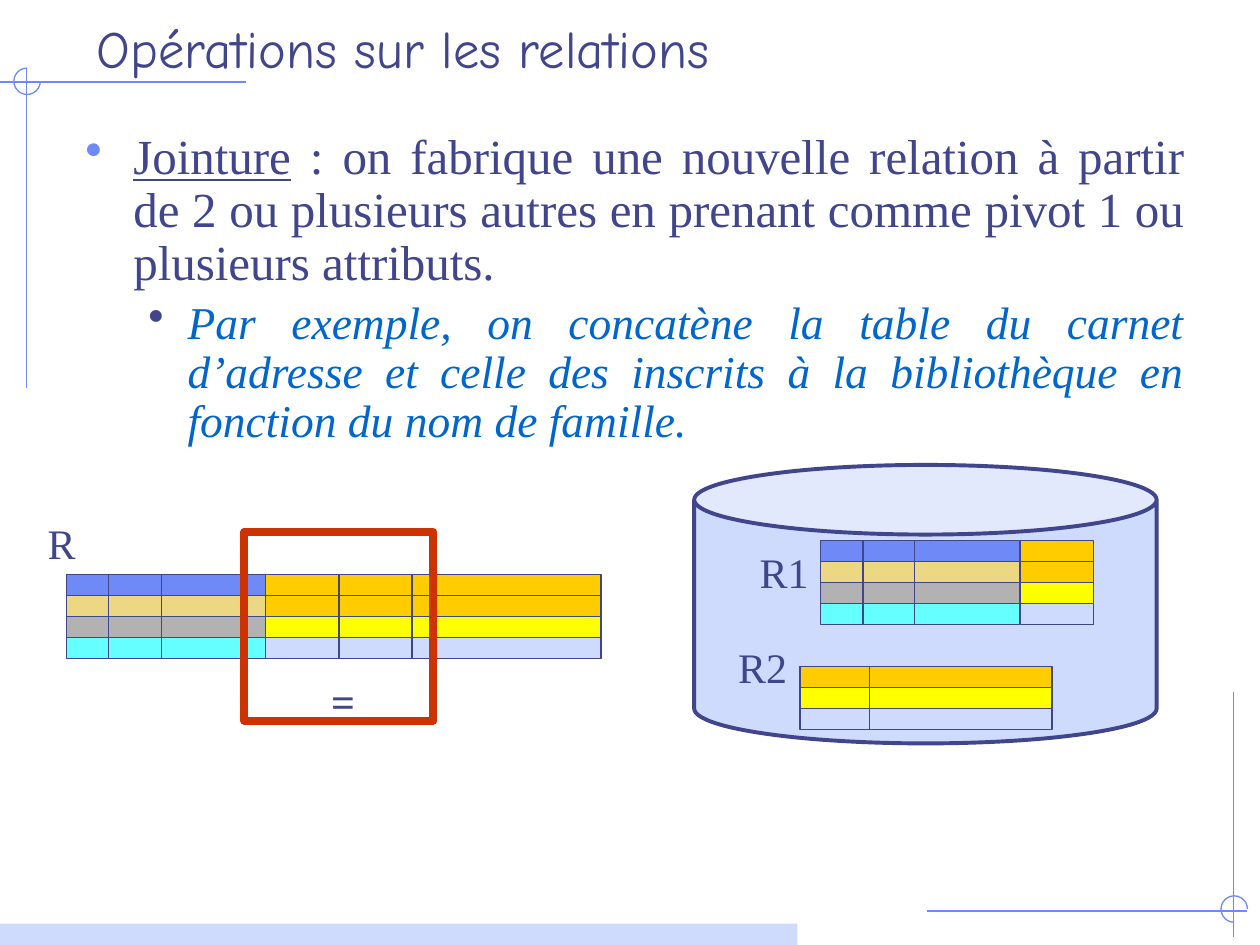
"""Build a slide explaining the join of two relations."""
from lxml.etree import SubElement
from pptx import Presentation
from pptx.dml.color import RGBColor
from pptx.enum.shapes import MSO_CONNECTOR, MSO_SHAPE
from pptx.enum.text import MSO_ANCHOR, PP_ALIGN
from pptx.oxml.ns import qn
from pptx.util import Inches, Pt

INK, ACCENT, PALE, BLUE = "40458C", "6F89F7", "CFDBFD", "0066CC"
SERIF, TITLE_FONT = "Times New Roman", "Comic Neue"
ROW_HEIGHT = 1 / 6


def add_shape(kind, left, top, width, height, fill=None, line=None, weight=0.75):
    shape = slide.shapes.add_shape(kind, Inches(left), Inches(top), Inches(width), Inches(height))
    shape.shadow.inherit = False
    if fill:
        shape.fill.solid()
        shape.fill.fore_color.rgb = RGBColor.from_string(fill)
    else:
        shape.fill.background()
    if line:
        shape.line.color.rgb = RGBColor.from_string(line)
        shape.line.width = Pt(weight)
    else:
        shape.line.fill.background()
    return shape


def add_span(para, text, size=24, font=SERIF, color=INK, bold=False, italic=False, underline=False):
    span = para.add_run()
    span.text = text
    span.font.size = Pt(size)
    span.font.name = font
    span.font.color.rgb = RGBColor.from_string(color)
    span.font.bold = bold
    span.font.italic = italic
    span.font.underline = underline


deck = Presentation()
deck.slide_width, deck.slide_height = Inches(10), Inches(7.5)
slide = deck.slides.add_slide(deck.slide_layouts[6])

lines = [
    (1.95, 0.65, 0, 0.65, ACCENT),
    (0.21, 0.55, 0.21, 3.08, ACCENT),
    (9.79, 5.49, 9.79, 7.44, ACCENT),
    (9.9, 7.23, 7.36, 7.23, ACCENT),
]
for left, top, rotation in [(0.11, 0.54, 0), (9.69, 7.11, 90)]:
    corner = add_shape(MSO_SHAPE.ARC, left, top, 0.21, 0.21, line=ACCENT)
    corner.adjustments[0] = 0
    corner.adjustments[1] = 162
    corner.rotation = rotation

add_shape(MSO_SHAPE.RECTANGLE, 0, 7.33, 6.33, 0.17, fill=PALE)
add_shape(MSO_SHAPE.CAN, 5.51, 3.69, 3.67, 2.21, PALE, INK, 2.25)

record_colors = [ACCENT, "ECD882", "B2B2B2", "66FFFF"]
pivot_colors = ["FFCC00", "FFCC00", "FFFF00", PALE]
blocks = [
    (6.51, 4.29, 1.58, record_colors, [0.34, 0.75]),
    (8.1, 4.29, 0.58, pivot_colors, []),
    (6.35, 5.29, 2, pivot_colors[1:], [0.55]),
    (0.53, 4.56, 1.58, record_colors, [0.33, 0.75]),
    (2.11, 4.56, 0.58, pivot_colors, []),
    (2.69, 4.56, 2.08, pivot_colors, [0.58]),
]
for left, top, width, colors, dividers in blocks:
    for index, color in enumerate(colors):
        row_top = top + index * ROW_HEIGHT
        add_shape(MSO_SHAPE.RECTANGLE, left, row_top, width, ROW_HEIGHT, color, INK)
        for offset in dividers:
            lines.append((left + offset, row_top, left + offset, row_top + ROW_HEIGHT, INK))

for *ends, color in lines:
    connector = slide.shapes.add_connector(MSO_CONNECTOR.STRAIGHT, *map(Inches, ends))
    connector.line.color.rgb = RGBColor.from_string(color)
    connector.line.width = Pt(0.75)
    SubElement(connector.element.spPr, qn("a:effectLst"))

add_shape(MSO_SHAPE.RECTANGLE, 1.94, 4.22, 1.5, 1.5, line="CC3300", weight=4.5)

labels = [
    ("Opérations sur les relations", 0.67, 0.01, 9.08, 0.67, MSO_ANCHOR.BOTTOM,
     dict(size=30, font=TITLE_FONT)),
    ("R1", 5.93, 4.29, 1.08, 0.5, MSO_ANCHOR.TOP, {}),
    ("R2", 5.76, 5.04, 0.67, 0.5, MSO_ANCHOR.TOP, {}),
    ("R", 0.28, 4.06, 0.67, 0.5, MSO_ANCHOR.TOP, {}),
    ("=", 2.53, 5.31, 0.5, 0.5, MSO_ANCHOR.TOP, dict(bold=True)),
]
for text, left, top, width, height, anchor, style in labels:
    box = slide.shapes.add_textbox(Inches(left), Inches(top), Inches(width), Inches(height))
    box.text_frame.word_wrap = True
    box.text_frame.vertical_anchor = anchor
    add_span(box.text_frame.paragraphs[0], text, **style)

body = slide.shapes.add_textbox(Inches(0.58), Inches(1), Inches(8.92), Inches(6.01)).text_frame
body.word_wrap = True
definition, example = body.paragraphs[0], body.add_paragraph()
add_span(definition, "Jointure", size=28, underline=True)
add_span(definition, " : on fabrique une nouvelle relation à partir de 2 ou plusieurs autres "
         "en prenant comme pivot 1 ou plusieurs attributs.", size=28)
add_span(example, "Par exemple, on concatène la table du carnet d’adresse et celle des inscrits "
         "à la bibliothèque en fonction du nom de famille.", size=26, color=BLUE, italic=True)

for level, (para, margin, hanging, before, color) in enumerate([
    (definition, 0.38, 0.38, 0, ACCENT),
    (example, 0.81, 0.31, 5.2, INK),
]):
    para.level = level
    para.alignment = PP_ALIGN.JUSTIFY
    para.line_spacing = 0.9
    para.space_before = Pt(before)
    properties = para._p.get_or_add_pPr()
    properties.set("marL", str(Inches(margin)))
    properties.set("indent", str(-Inches(hanging)))
    SubElement(SubElement(properties, qn("a:buClr")), qn("a:srgbClr"), val=color)
    SubElement(properties, qn("a:buChar"), char="•")

deck.save("out.pptx")
